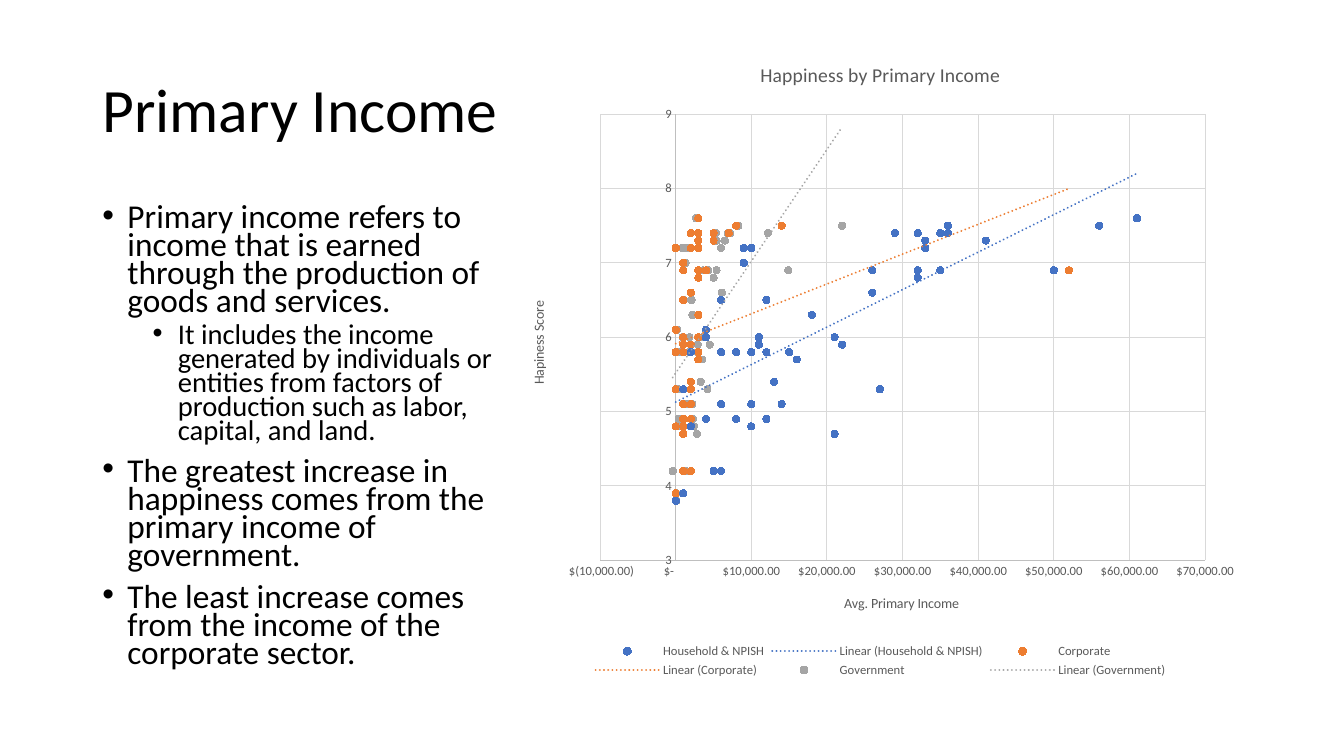
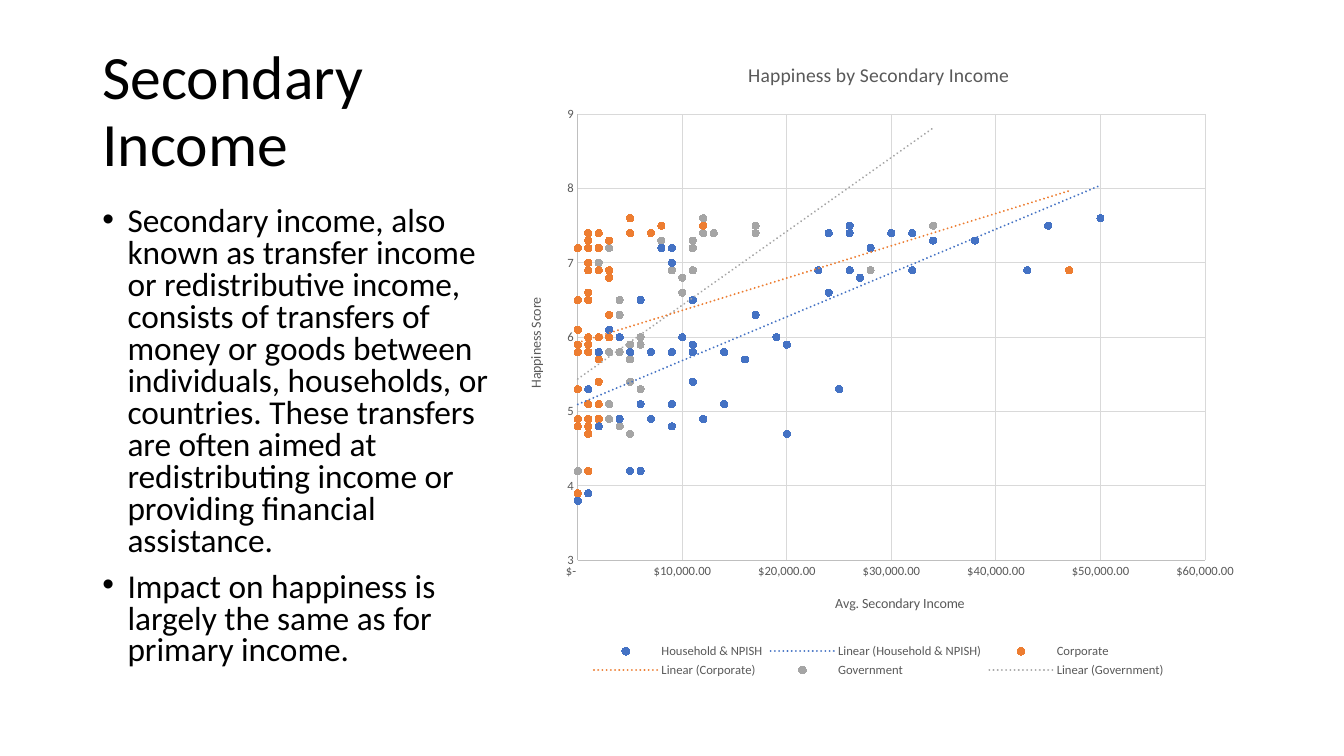
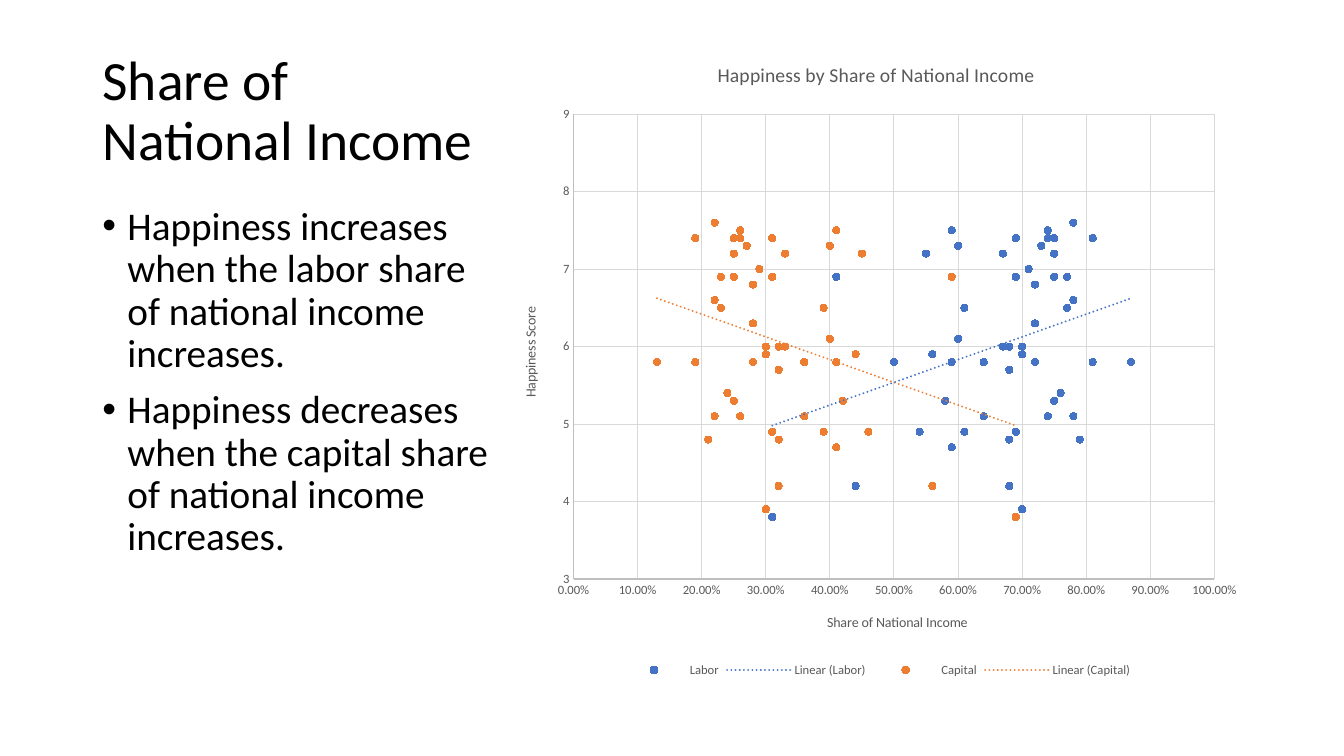
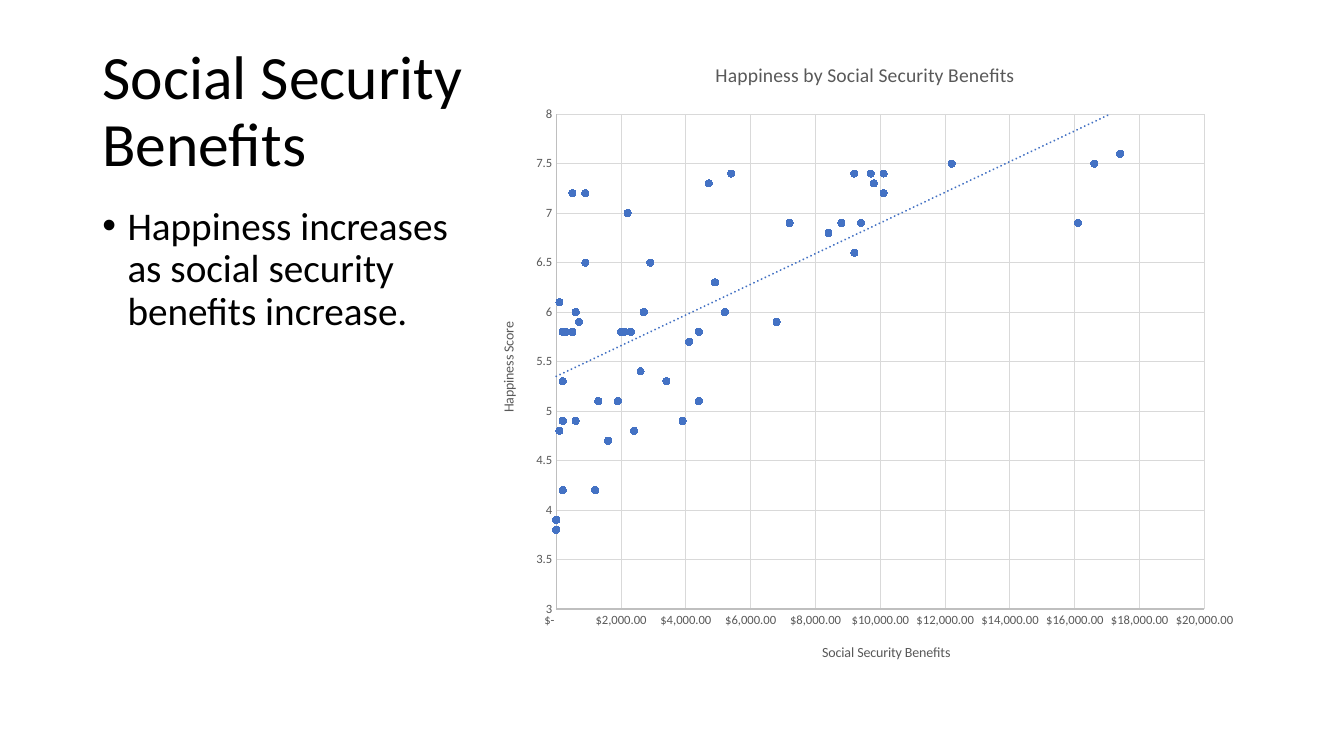
from dataclasses import dataclass

from lxml import etree
from pptx import Presentation
from pptx.chart.data import XyChartData
from pptx.dml.color import RGBColor
from pptx.enum.chart import XL_CHART_TYPE, XL_LEGEND_POSITION, XL_MARKER_STYLE, XL_TICK_MARK
from pptx.enum.text import MSO_ANCHOR, MSO_AUTO_SIZE, PP_ALIGN
from pptx.oxml import parse_xml
from pptx.oxml.ns import nsdecls, qn
from pptx.util import Emu, Pt

SCATTER = XL_CHART_TYPE.XY_SCATTER
BOTTOM = XL_LEGEND_POSITION.BOTTOM
CIRCLE = XL_MARKER_STYLE.CIRCLE
NO_TICK = XL_TICK_MARK.NONE
MIDDLE, TOP = MSO_ANCHOR.MIDDLE, MSO_ANCHOR.TOP
NO_FIT = MSO_AUTO_SIZE.NONE
LEFT = PP_ALIGN.LEFT

EMU_PER_PX = 9525
SLIDE_W, SLIDE_H = 1280, 720
MARGIN, CHART_RIGHT = 88, 1192
TITLE_Y, TITLE_H = 38, 139
BODY_Y, BODY_H = 192, 457
CHART_H = BODY_Y + BODY_H - TITLE_Y
BULLET_INDENT, LEVEL_STEP = 24, 48

FONT = "Calibri"
BLACK, GREY, AXIS, GRID = "000000", "595959", "BFBFBF", "D9D9D9"
BLUE, ORANGE, SILVER = "4472C4", "ED7D31", "A5A5A5"
MONEY = '_($* #,##0.00_);_($* (#,##0.00);_($* "-"??_);_(@_)'
PERCENT = "0.00%"

HAPPINESS = [
    7.2, 7.3, 6.9, 4.2, 7, 7.4, 7.6, 6.5, 7.2, 5.7, 6.5, 6.8, 7.5,
    4.9, 5.4, 4.2, 6.3, 7.4, 6.6, 6.9, 4.9, 6.1, 4.8, 5.8, 4.8, 6.9,
    4.7, 5.9, 6, 5.3, 5.9, 5.8, 6.9, 5.1, 4.9, 7.2, 5.8, 3.8, 5.8,
    7.4, 7.5, 7.3, 5.8, 5.8, 5.1, 5.1, 7.4, 5.8, 6, 3.9, 5.3, 6,
]
PRIMARY_HOUSEHOLD = [
    33, 41, 32, 6, 9, 36, 61, 6, 9, 16, 12, 32, 36, 8, 13, 5, 18, 29,
    26, 35, 12, 4, 2, 8, 10, 26, 21, 22, 21, 1, 11, 12, 50, 10, 4, 10,
    6, 0, 2, 32, 56, 33, 6, 10, 14, 6, 35, 15, 11, 1, 27, 4,
]
PRIMARY_CORPORATE = [
    3, 3, 4, 1, 1, 2, 3, 1, 2, 3, 1, 3, 8, 1, 2, 2, 3, 3,
    2, 1, 1, 0, 0, 1, 1, 3, 1, 1, 4, 0, 2, 2, 52, 1, 2, 0,
    3, 0, 0, 7, 14, 5, 1, 2, 2, 2, 5, 1, 3, 0, 2, 1,
]
PRIMARY_GOVERNMENT = [
    60, 54, 36, 13, 13, 69, 27, 11, 14, 35, 21, 50, 83, 5, 33, -4, 22, 72,
    61, 54, 23, 2, 3, 20, 24, 43, 28, 29, 36, 3, 45, 19, 149, 21, 4, 9,
    6, 1, 3, 53, 220, 65, 8, 18, 22, 15, 122, 29, 18, 1, 42, 9,
]
SECONDARY_HOUSEHOLD = [
    28, 38, 26, 6, 9, 32, 50, 6, 8, 16, 11, 27, 26, 7, 11, 5, 17, 26,
    24, 32, 12, 3, 2, 7, 9, 23, 20, 20, 19, 1, 11, 11, 43, 9, 4, 9,
    5, 0, 2, 24, 45, 34, 5, 9, 14, 6, 30, 14, 10, 1, 25, 4,
]
SECONDARY_CORPORATE = [
    2, 1, 3, 1, 1, 1, 5, 0, 1, 2, 1, 3, 8, 0, 2, 1, 3, 2,
    1, 1, 1, 0, 0, 1, 1, 2, 1, 0, 3, 0, 1, 2, 47, 1, 2, 0,
    2, 0, 0, 7, 12, 3, 1, 1, 1, 2, 5, 1, 2, 0, 1, 1,
]
SECONDARY_GOVERNMENT = [
    11, 11, 11, 1, 2, 12, 12, 1, 3, 5, 4, 10, 17, 1, 5, 0, 4, 12,
    10, 9, 3, 0, 1, 2, 4, 9, 5, 5, 6, 0, 6, 3, 28, 3, 1, 2,
    2, 0, 1, 13, 34, 8, 1, 3, 3, 2, 17, 4, 3, 0, 6, 1,
]
LABOR_SHARE = [
    0.75, 0.73, 0.75, 0.68, 0.71, 0.81, 0.78, 0.61, 0.67, 0.68, 0.77, 0.72, 0.74,
    0.54, 0.76, 0.44, 0.72, 0.74, 0.78, 0.69, 0.69, 0.6, 0.68, 0.81, 0.79, 0.77,
    0.59, 0.7, 0.7, 0.75, 0.56, 0.64, 0.41, 0.78, 0.61, 0.55, 0.5, 0.31, 0.64,
    0.69, 0.59, 0.6, 0.59, 0.72, 0.74, 0.64, 0.75, 0.87, 0.67, 0.7, 0.58, 0.68,
]
CAPITAL_SHARE = [round(1 - share, 2) for share in LABOR_SHARE]
SOCIAL_SECURITY = [
    101, 47, 94, 12, 22, 54, 174, 9, 9, 41, 29, 84, 122, 2, 26, 2, 49, 97,
    92, 88, 39, 1, 1, 20, 24, 72, 16, 68, 52, 2, 7, 21, 161, 19, 6, 5,
    5, 0, 2, 92, 166, 98, 3, 23, 44, 13, 101, 44, 27, 0, 34, 6,
]


@dataclass(frozen=True)
class Bullet:
    text: str
    size: float
    level: int = 0


@dataclass(frozen=True)
class Series:
    name: str
    color: str
    values: list[float]
    unit: int = 1


@dataclass(frozen=True)
class ScatterSlide:
    title: str
    column_w: int
    bullets: list[Bullet]
    line_spacing: float
    chart_title: str
    x_title: str
    x_format: str
    series: list[Series]
    title_size: float = 44
    y_title: str = "Happiness Score"
    y_max: float | None = 9


SLIDES = [
    ScatterSlide(
        "Primary Income", 397,
        [
            Bullet("Primary income refers to income that is earned through the "
                   "production of goods and services.", 23.8),
            Bullet("It includes the income generated by individuals or entities from "
                   "factors of production such as labor, capital, and land.", 20.4, 1),
            Bullet("The greatest increase in happiness comes from the primary income "
                   "of government.", 23.8),
            Bullet("The least increase comes from the income of the corporate sector.", 23.8),
        ],
        0.7, "Happiness by Primary Income", "Avg. Primary Income", MONEY,
        [
            Series("Household & NPISH", BLUE, PRIMARY_HOUSEHOLD, 1000),
            Series("Corporate", ORANGE, PRIMARY_CORPORATE, 1000),
            Series("Government", SILVER, PRIMARY_GOVERNMENT, 100),
        ],
        y_title="Hapiness Score",
    ),
    ScatterSlide(
        "Secondary Income", 394,
        [
            Bullet("Secondary income, also known as transfer income or redistributive "
                   "income, consists of transfers of money or goods between individuals, "
                   "households, or countries. These transfers are often aimed at "
                   "redistributing income or providing financial assistance.", 23.8),
            Bullet("Impact on happiness is largely the same as for primary income.", 23.8),
        ],
        0.8, "Happiness by Secondary Income", "Avg. Secondary Income", MONEY,
        [
            Series("Household & NPISH", BLUE, SECONDARY_HOUSEHOLD, 1000),
            Series("Corporate", ORANGE, SECONDARY_CORPORATE, 1000),
            Series("Government", SILVER, SECONDARY_GOVERNMENT, 1000),
        ],
    ),
    ScatterSlide(
        "Share of National Income", 389,
        [
            Bullet("Happiness increases when the labor share of national income increases.", 28),
            Bullet("Happiness decreases when the capital share of national income increases.", 28),
        ],
        0.9, "Happiness by Share of National Income", "Share of National Income", PERCENT,
        [Series("Labor", BLUE, LABOR_SHARE), Series("Capital", ORANGE, CAPITAL_SHARE)],
        title_size=39.6,
    ),
    ScatterSlide(
        "Social Security Benefits", 368,
        [Bullet("Happiness increases as social security benefits increase.", 28)],
        0.9, "Happiness by Social Security Benefits", "Social Security Benefits", MONEY,
        [Series("Series 1", BLUE, SOCIAL_SECURITY, 100)],
        y_max=None,
    ),
]


def px(n: int) -> Emu:
    return Emu(n * EMU_PER_PX)


def rgb(value: str) -> RGBColor:
    return RGBColor.from_string(value)


def set_font(font, size: float, color: str) -> None:
    font.name = FONT
    font.size = Pt(size)
    font.bold = False
    font.color.rgb = rgb(color)


def set_line(line, color: str, width: float = 0.75) -> None:
    line.color.rgb = rgb(color)
    line.width = Pt(width)


def add_run(p, text: str, size: float, color: str) -> None:
    r = p.add_run()
    r.text = text
    set_font(r.font, size, color)


def set_frame(tf, anchor) -> None:
    tf.word_wrap = True
    tf.auto_size = NO_FIT
    tf.vertical_anchor = anchor


def add_title(s, item: ScatterSlide) -> None:
    sp = s.shapes.title
    sp.left, sp.top, sp.width, sp.height = map(px, (MARGIN, TITLE_Y, item.column_w, TITLE_H))
    tf = sp.text_frame
    set_frame(tf, MIDDLE)
    p = tf.paragraphs[0]
    p.alignment = LEFT
    p.line_spacing = 0.9
    add_run(p, item.title, item.title_size, BLACK)


def set_bullet(p, level: int) -> None:
    pPr = p._p.get_or_add_pPr()
    pPr.set("marL", str(px(BULLET_INDENT + level * LEVEL_STEP)))
    pPr.set("indent", str(px(-BULLET_INDENT)))
    etree.SubElement(pPr, qn("a:buFont")).set("typeface", "Arial")
    etree.SubElement(pPr, qn("a:buChar")).set("char", "•")


def add_body(s, item: ScatterSlide) -> None:
    sp = s.shapes.add_textbox(*map(px, (MARGIN, BODY_Y, item.column_w, BODY_H)))
    tf = sp.text_frame
    set_frame(tf, TOP)
    for i, bullet in enumerate(item.bullets):
        p = tf.add_paragraph() if i else tf.paragraphs[0]
        p.level = bullet.level
        p.alignment = LEFT
        p.line_spacing = item.line_spacing
        p.space_before = Pt(5 if bullet.level else 10)
        set_bullet(p, bullet.level)
        add_run(p, bullet.text, bullet.size, BLACK)


def style_axis(axis, title: str, number_format: str) -> None:
    axis.major_tick_mark = axis.minor_tick_mark = NO_TICK
    axis.has_major_gridlines = True
    set_line(axis.major_gridlines.format.line, GRID)
    set_line(axis.format.line, AXIS)
    labels = axis.tick_labels
    labels.number_format = number_format
    labels.number_format_is_linked = False
    set_font(labels.font, 9, GREY)
    add_run(axis.axis_title.text_frame.paragraphs[0], title, 10, GREY)


def trendline(color: str):
    return parse_xml(
        f'<c:trendline {nsdecls("c", "a")}><c:spPr><a:ln w="{Pt(1.5)}" cap="rnd">'
        f'<a:solidFill><a:srgbClr val="{color}"/></a:solidFill>'
        '<a:prstDash val="sysDot"/></a:ln></c:spPr><c:trendlineType val="linear"/>'
        '<c:dispRSqr val="0"/><c:dispEq val="0"/></c:trendline>'
    )


def style_series(chart, items: list[Series]) -> None:
    plot = chart.plots[0]
    plot.vary_by_categories = False
    x_values = chart.element.xpath("//c:ser/c:xVal")
    for series, item, x_value in zip(plot.series, items, x_values):
        series.format.line.fill.background()
        marker = series.marker
        marker.style = CIRCLE
        marker.size = 5
        marker.format.fill.solid()
        marker.format.fill.fore_color.rgb = rgb(item.color)
        set_line(marker.format.line, item.color)
        x_value.addprevious(trendline(item.color))


def add_legend(chart, count: int) -> None:
    chart.has_legend = True
    legend = chart.legend
    legend.position = BOTTOM
    legend.include_in_layout = False
    set_font(legend.font, 9, GREY)
    position = chart.element.xpath("//c:legend/c:legendPos")[0]
    for i in reversed(range(count, 2 * count)):
        position.addnext(parse_xml(
            f'<c:legendEntry {nsdecls("c")}><c:idx val="{i}"/><c:delete val="1"/></c:legendEntry>'
        ))


def add_scatter(s, item: ScatterSlide) -> None:
    data = XyChartData()
    for series in item.series:
        points = data.add_series(series.name)
        for x, y in zip(series.values, HAPPINESS):
            points.add_data_point(x * series.unit, y)
    left = MARGIN + item.column_w
    frame = s.shapes.add_chart(
        SCATTER, *map(px, (left, TITLE_Y, CHART_RIGHT - left, CHART_H)), data
    )
    chart = frame.chart
    set_font(chart.font, 10, BLACK)
    chart.has_title = True
    add_run(chart.chart_title.text_frame.paragraphs[0], item.chart_title, 14, GREY)
    style_axis(chart.category_axis, item.x_title, item.x_format)
    style_axis(chart.value_axis, item.y_title, "General")
    chart.value_axis.minimum_scale = 3
    chart.value_axis.maximum_scale = item.y_max
    y_title_body = chart.element.xpath("//c:valAx[2]/c:title//a:bodyPr")[0]
    y_title_body.set("rot", "-5400000")
    y_title_body.set("vert", "horz")
    style_series(chart, item.series)
    chart.has_legend = False
    if len(item.series) > 1:
        add_legend(chart, len(item.series))


def main() -> None:
    prs = Presentation()
    prs.slide_width, prs.slide_height = px(SLIDE_W), px(SLIDE_H)
    for item in SLIDES:
        s = prs.slides.add_slide(prs.slide_layouts[5])
        add_title(s, item)
        add_body(s, item)
        add_scatter(s, item)
    prs.save("out.pptx")


if __name__ == "__main__":
    main()
